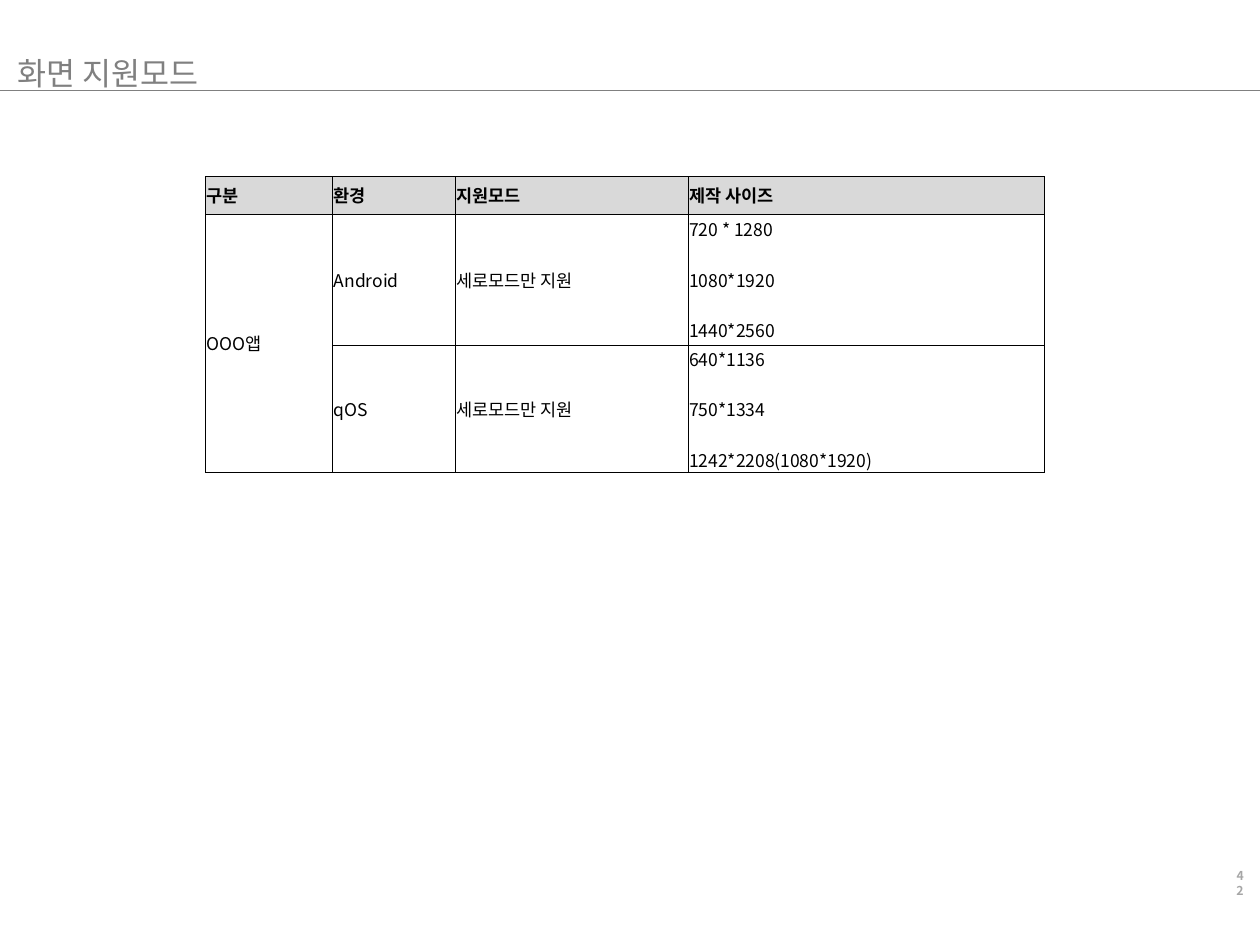
from lxml.etree import SubElement
from pptx import Presentation
from pptx.dml.color import RGBColor
from pptx.enum.shapes import MSO_CONNECTOR
from pptx.enum.text import MSO_ANCHOR, PP_ALIGN
from pptx.oxml.ns import qn
from pptx.util import Inches, Pt

FONT = "Noto Sans CJK KR"
BLACK = RGBColor(0x00, 0x00, 0x00)
GRAY = RGBColor(0x80, 0x80, 0x80)
PAGE_GRAY = RGBColor(0xA6, 0xA6, 0xA6)
HEADER_FILL = RGBColor(0xD9, 0xD9, 0xD9)

COLUMN_WIDTHS = [1.01, 0.97, 1.85, 2.83]
ROW_HEIGHTS = [0.3, 1.04, 1.01]
ROWS = [
    ["구분", "환경", "지원모드", "제작 사이즈"],
    ["OOO앱", "Android", "세로모드만 지원", "720 * 1280\n1080*1920\n1440*2560"],
    ["", "qOS", "세로모드만 지원", "640*1136\n750*1334\n1242*2208(1080*1920)"],
]


def write_text(frame, text, size=10, color=BLACK, bold=False,
               align=PP_ALIGN.LEFT, gap=0):
    """Write one paragraph per line of text, with a gap between them."""
    for index, line in enumerate(text.split("\n")):
        paragraph = frame.add_paragraph() if index else frame.paragraphs[0]
        paragraph.alignment = align
        paragraph.space_before = Pt(gap if index else 0)
        run = paragraph.add_run()
        run.text = line
        run.font.size = Pt(size)
        run.font.bold = bold
        run.font.color.rgb = color
        run.font.name = FONT
        SubElement(run.font._element, qn("a:ea"), typeface=FONT)


def set_margins(target, margin):
    target.margin_left = target.margin_right = Inches(margin)
    target.margin_top = target.margin_bottom = Inches(margin)


def add_text_box(slide, text, left, top, width, height, wrap=True,
                 anchor=MSO_ANCHOR.TOP, **text_format):
    box = slide.shapes.add_textbox(
        Inches(left), Inches(top), Inches(width), Inches(height))
    frame = box.text_frame
    frame.word_wrap = wrap
    frame.vertical_anchor = anchor
    set_margins(frame, 0.04)
    write_text(frame, text, **text_format)


def add_rule(slide, top):
    rule = slide.shapes.add_connector(
        MSO_CONNECTOR.STRAIGHT, 0, Inches(top), Inches(10), Inches(top))
    rule.line.color.rgb = GRAY
    rule.line.width = Pt(0.25)
    SubElement(rule._element.spPr, qn("a:effectLst"))


def set_borders(cell):
    properties = cell._tc.get_or_add_tcPr()
    for position, side in enumerate(("a:lnL", "a:lnR", "a:lnT", "a:lnB")):
        border = SubElement(properties, qn(side), w=str(Pt(0.25)))
        fill = SubElement(border, qn("a:solidFill"))
        SubElement(fill, qn("a:srgbClr"), val=str(BLACK))
        properties.insert(position, border)


def add_mode_table(slide, left, top):
    table = slide.shapes.add_table(
        len(ROW_HEIGHTS), len(COLUMN_WIDTHS), Inches(left), Inches(top),
        Inches(sum(COLUMN_WIDTHS)), Inches(sum(ROW_HEIGHTS))).table
    for column, width in zip(table.columns, COLUMN_WIDTHS):
        column.width = Inches(width)
    for row, height in zip(table.rows, ROW_HEIGHTS):
        row.height = Inches(height)
    table.cell(1, 0).merge(table.cell(2, 0))

    for row_index, texts in enumerate(ROWS):
        is_header = row_index == 0
        for column_index, text in enumerate(texts):
            cell = table.cell(row_index, column_index)
            set_margins(cell, 0.01)
            cell.vertical_anchor = MSO_ANCHOR.MIDDLE
            if is_header:
                cell.fill.solid()
                cell.fill.fore_color.rgb = HEADER_FILL
            else:
                cell.fill.background()
            set_borders(cell)
            if text:
                write_text(cell.text_frame, text, bold=is_header, gap=14.4)


def main():
    presentation = Presentation()
    presentation.slide_width = Inches(10)
    presentation.slide_height = Inches(7.5)
    slide = presentation.slides.add_slide(presentation.slide_layouts[6])

    # Rule and page number
    add_rule(slide, 0.72)
    add_text_box(slide, "42", 9.72, 6.86, 0.19, 0.3, anchor=MSO_ANCHOR.MIDDLE,
                 size=7, color=PAGE_GRAY, bold=True, align=PP_ALIGN.RIGHT)

    # Supported modes
    add_mode_table(slide, 1.63, 1.4)

    # Title
    add_text_box(slide, "화면 지원모드", 0.1, 0.39, 1.62, 0.39,
                 wrap=False, size=18, color=GRAY)

    presentation.save("out.pptx")


if __name__ == "__main__":
    main()
